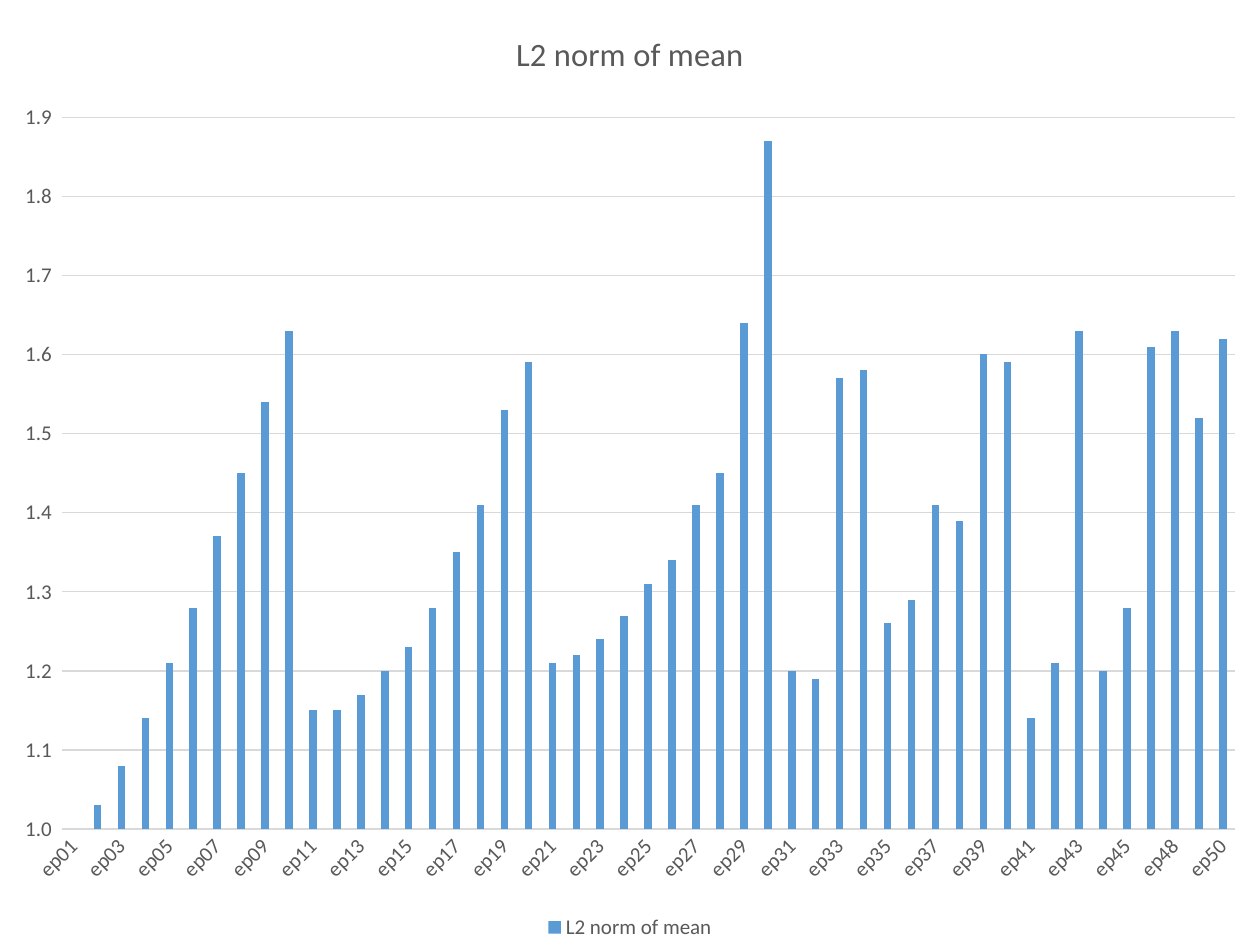
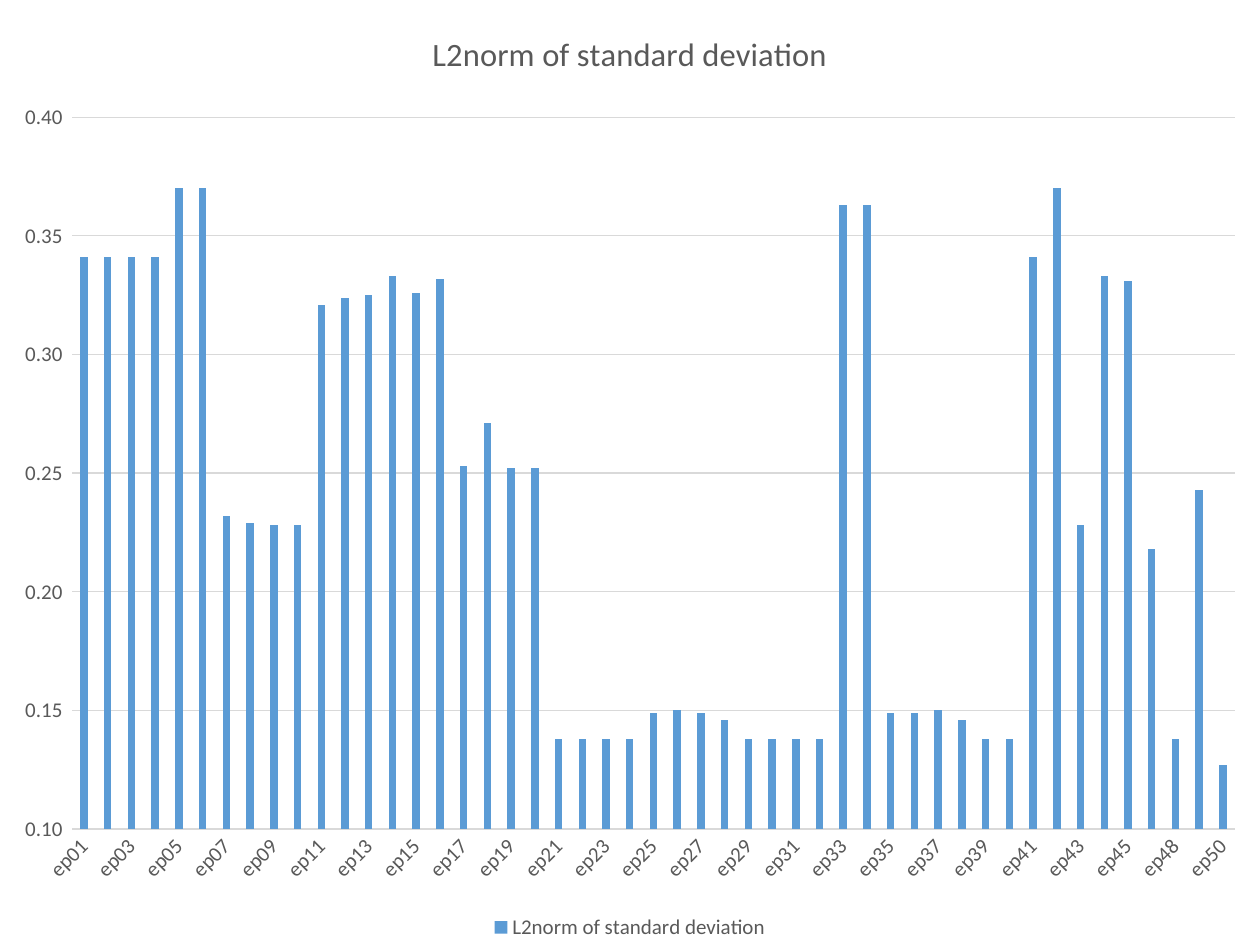
from dataclasses import dataclass

from pptx import Presentation
from pptx.chart.axis import CategoryAxis, ValueAxis
from pptx.chart.chart import Chart
from pptx.chart.data import CategoryChartData
from pptx.dml.color import RGBColor
from pptx.enum.chart import XL_CHART_TYPE, XL_LEGEND_POSITION, XL_TICK_MARK
from pptx.presentation import Presentation as Deck
from pptx.text.text import Font
from pptx.util import Emu, Pt

PX = 7258  # EMU in one px at 126 px to the inch
SLIDE_WIDTH, SLIDE_HEIGHT = Emu(1260 * PX), Emu(945 * PX)
BLANK_LAYOUT = 6

BAR_BLUE = RGBColor(0x5B, 0x9B, 0xD5)
TEXT_GREY = RGBColor(0x59, 0x59, 0x59)
LINE_GREY = RGBColor(0xD9, 0xD9, 0xD9)
BLACK = RGBColor(0, 0, 0)
FONT_NAME = "Calibri"

EPISODES = [f"ep{number:02}" for number in range(1, 51) if number != 47]


@dataclass(frozen=True)
class NormChart:
    title: str
    number_format: str
    minimum: float
    maximum: float
    step: float
    norms: tuple[float, ...]


NORM_CHARTS = (
    NormChart("L2 norm of mean", "0.0_ ", 1.0, 1.9, 0.1, (
        0.99, 1.03, 1.08, 1.14, 1.21, 1.28, 1.37, 1.45, 1.54, 1.63,
        1.15, 1.15, 1.17, 1.2, 1.23, 1.28, 1.35, 1.41, 1.53, 1.59,
        1.21, 1.22, 1.24, 1.27, 1.31, 1.34, 1.41, 1.45, 1.64, 1.87,
        1.2, 1.19, 1.57, 1.58, 1.26, 1.29, 1.41, 1.39, 1.6, 1.59,
        1.14, 1.21, 1.63, 1.2, 1.28, 1.61, 1.63, 1.52, 1.62)),
    NormChart("L2norm of standard deviation", "0.00_ ", 0.1, 0.4, 0.05, (
        0.341, 0.341, 0.341, 0.341, 0.37, 0.37, 0.232, 0.229, 0.228, 0.228,
        0.321, 0.324, 0.325, 0.333, 0.326, 0.332, 0.253, 0.271, 0.252, 0.252,
        0.138, 0.138, 0.138, 0.138, 0.149, 0.15, 0.149, 0.146, 0.138, 0.138,
        0.138, 0.138, 0.363, 0.363, 0.149, 0.149, 0.15, 0.146, 0.138, 0.138,
        0.341, 0.37, 0.228, 0.333, 0.331, 0.218, 0.138, 0.243, 0.127)),
)


def style_font(font: Font, size: float, color: RGBColor = TEXT_GREY) -> None:
    font.name = FONT_NAME
    font.size = Pt(size)
    font.bold = False
    font.color.rgb = color


def style_title(chart: Chart, title: str) -> None:
    chart.has_title = True
    chart.chart_title.include_in_layout = False
    paragraph = chart.chart_title.text_frame.paragraphs[0]
    paragraph.text = title
    style_font(paragraph.runs[0].font, 18.6)


def style_axis(axis: CategoryAxis | ValueAxis) -> None:
    axis.major_tick_mark = XL_TICK_MARK.NONE
    axis.minor_tick_mark = XL_TICK_MARK.NONE
    style_font(axis.tick_labels.font, 12)


def style_axes(chart: Chart, norm_chart: NormChart) -> None:
    episodes, norms = chart.category_axis, chart.value_axis
    style_axis(episodes)
    style_axis(norms)
    norms.minimum_scale = norm_chart.minimum
    norms.maximum_scale = norm_chart.maximum
    norms.major_unit = norm_chart.step
    norms.tick_labels.number_format = norm_chart.number_format
    norms.tick_labels.number_format_is_linked = False
    norms.format.line.fill.background()
    norms.has_major_gridlines = True
    for line in (episodes.format.line, norms.major_gridlines.format.line):
        line.color.rgb = LINE_GREY
        line.width = Pt(0.75)


def style_bars(chart: Chart) -> None:
    plot = chart.plots[0]
    plot.gap_width = 219
    plot.overlap = -27
    plot.vary_by_categories = False
    bars = plot.series[0]
    bars.invert_if_negative = False
    bars.format.fill.solid()
    bars.format.fill.fore_color.rgb = BAR_BLUE


def style_legend(chart: Chart) -> None:
    chart.has_legend = True
    chart.legend.position = XL_LEGEND_POSITION.BOTTOM
    chart.legend.include_in_layout = False
    style_font(chart.legend.font, 12)


def add_norm_slide(deck: Deck, norm_chart: NormChart) -> None:
    """Add a slide filled by one column chart."""
    slide = deck.slides.add_slide(deck.slide_layouts[BLANK_LAYOUT])
    data = CategoryChartData()
    data.categories = EPISODES
    data.add_series(norm_chart.title, norm_chart.norms)
    chart = slide.shapes.add_chart(
        XL_CHART_TYPE.COLUMN_CLUSTERED, 0, 0, SLIDE_WIDTH, SLIDE_HEIGHT, data
    ).chart
    style_font(chart.font, 10, BLACK)
    style_title(chart, norm_chart.title)
    style_axes(chart, norm_chart)
    style_bars(chart)
    style_legend(chart)


def main() -> None:
    deck = Presentation()
    deck.slide_width, deck.slide_height = SLIDE_WIDTH, SLIDE_HEIGHT
    for norm_chart in NORM_CHARTS:
        add_norm_slide(deck, norm_chart)
    deck.save("out.pptx")


if __name__ == "__main__":
    main()
